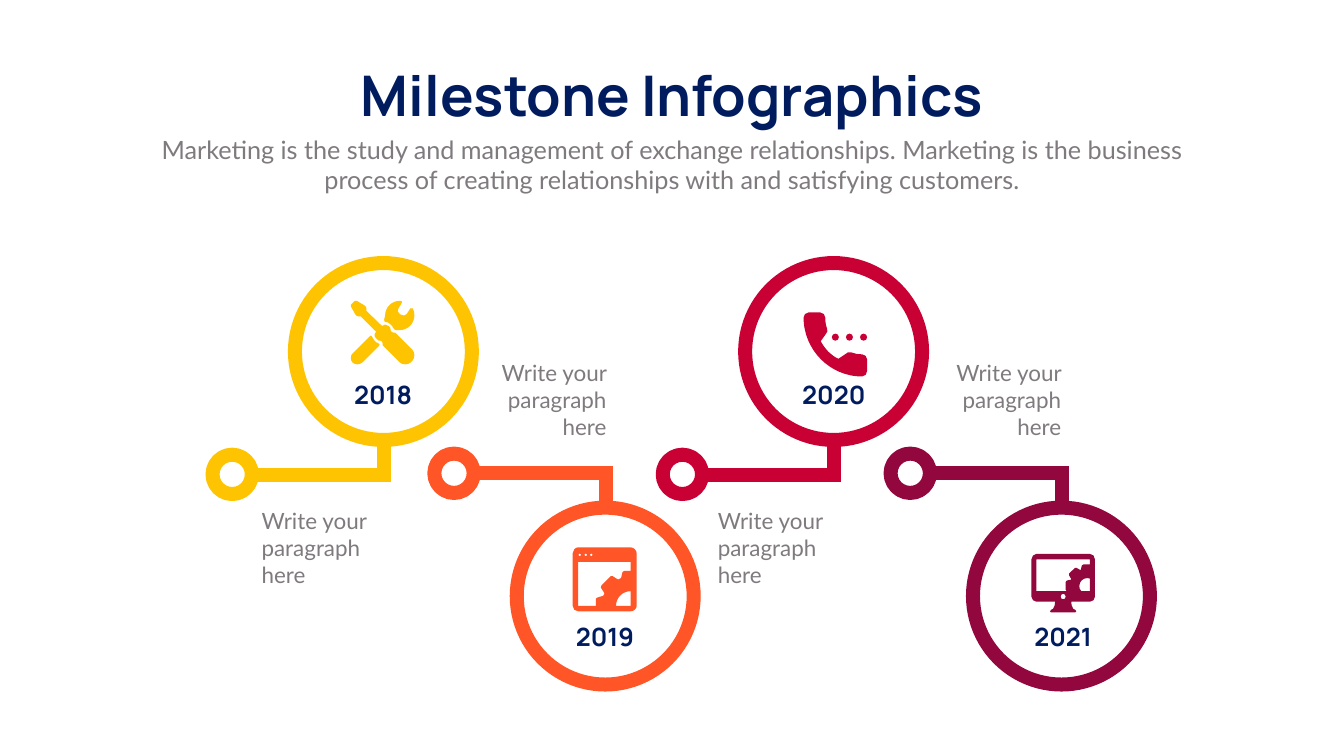
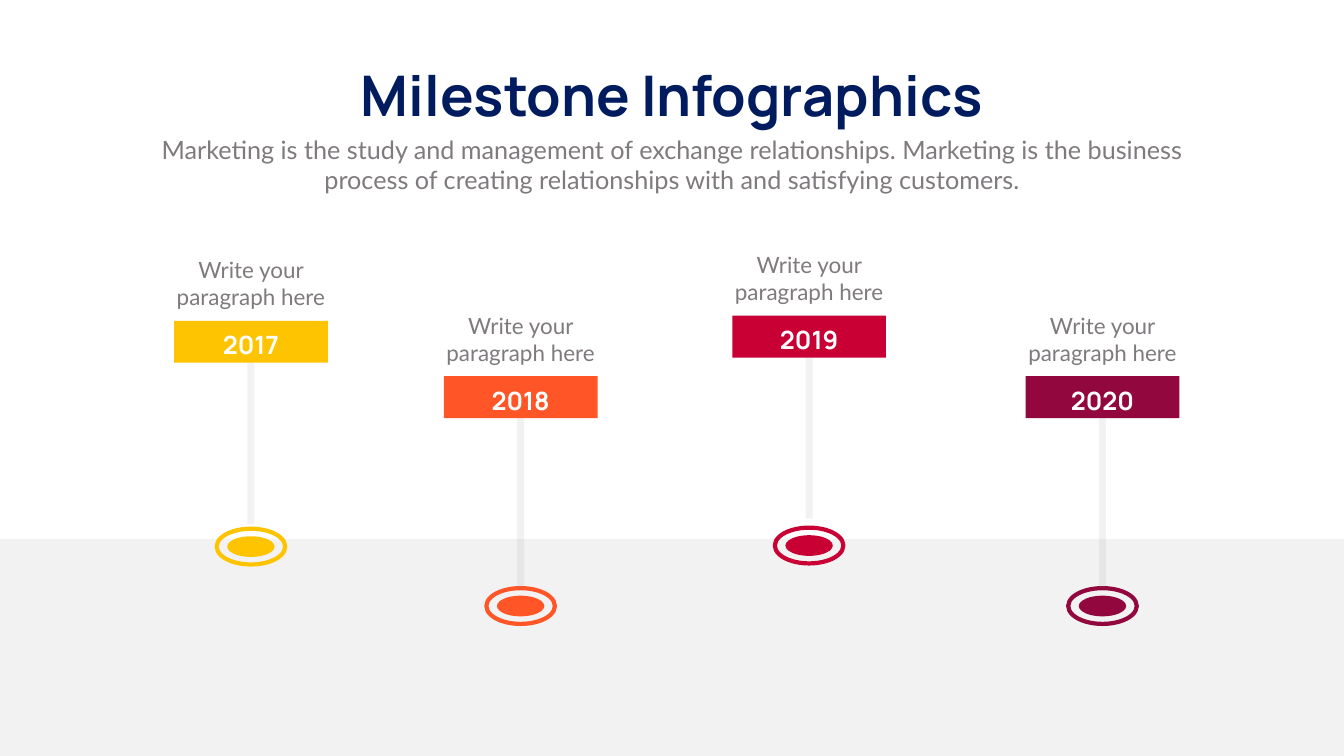
from dataclasses import dataclass
from typing import NamedTuple

import pptx
import pptx.dml.color
import pptx.enum.shapes
import pptx.enum.text
import pptx.oxml.ns
import pptx.util
from lxml import etree

Pt = pptx.util.Pt
qn = pptx.oxml.ns.qn
Shapes = pptx.enum.shapes.MSO_SHAPE
Connectors = pptx.enum.shapes.MSO_CONNECTOR
Align = pptx.enum.text.PP_ALIGN


# Theme and content
@dataclass(frozen=True)
class Theme:
    yellow: str = "FEC402"
    orange: str = "FF5527"
    red: str = "C90034"
    plum: str = "92073E"
    navy: str = "001C5E"
    gray: str = "7F7A7E"
    stem: str = "808080"
    floor: str = "F2F2F2"
    white: str = "FFFFFF"
    heading_font: str = "Manrope"
    body_font: str = "Lato"
    title_size: float = 80
    intro_size: float = 36
    year_size: float = 36
    caption_size: float = 32
    thick_line: float = 20
    stem_line: float = 10
    thin_line: float = 6


THEME = Theme()
SLIDE_WIDTH, SLIDE_HEIGHT = 1919.52, 1080
TITLE = "Milestone Infographics"
INTRO = ("Marketing is the study and management of exchange relationships. Marketing is "
         "the business process of creating relationships with and satisfying customers.")
CAPTION = "Write your paragraph here"


class Box(NamedTuple):
    left: float
    top: float
    width: float
    height: float

    def lengths(self) -> list:
        return [Pt(value) for value in self]


def centered(center: float, top: float, width: float, height: float) -> Box:
    return Box(center - width / 2, top, width, height)


# Icon outlines on a grid of ICON_UNIT points: M move, L lines, C one curve, Z close
ICON_UNIT = 0.72
SCREWDRIVER = (
    "M 88 63 C 87 62 86 62 84 63 C 81 63 79 60 79 58 C 79 56 79 54 78 53 L 75 50 "
    "C 71 46 65 46 62 50 L 31 20 31 16 C 31 13 30 10 27 9 L 12 0 C 11 -1 9 -1 8 0 L 0 8 "
    "C 0 9 0 10 0 11 L 9 27 C 11 30 13 31 16 31 L 20 31 50 61 50 62 C 48 63 47 66 47 68 "
    "C 47 70 48 73 50 74 L 54 78 C 54 79 56 79 58 79 C 61 79 63 81 63 84 L 63 88 97 122 "
    "C 100 125 104 126 108 126 C 112 126 116 125 119 122 L 122 119 C 125 116 126 112 126 108 "
    "C 126 104 125 100 122 97 Z")
WRENCH = (
    "M 69 42 C 72 42 76 43 78 46 L 82 50 C 84 51 84 53 85 55 C 85 56 86 57 87 57 "
    "C 88 57 89 58 90 58 L 97 58 C 113 58 126 45 126 29 C 126 24 125 19 123 15 "
    "C 122 14 120 14 118 15 L 111 26 C 110 28 108 29 106 29 L 105 29 C 100 29 95 26 93 21 "
    "C 93 19 93 17 94 16 L 101 4 C 102 3 101 0 99 0 L 97 0 C 81 0 68 13 68 29 "
    "C 68 32 68 35 66 38 C 66 39 66 40 67 41 Z")
HANDLE = (
    "M 54 84 C 53 84 51 83 50 82 L 46 78 C 44 76 43 74 42 71 C 42 70 41 69 40 69 "
    "C 39 69 38 69 38 70 L 4 104 C 1 106 0 109 0 113 C 0 117 1 121 4 123 "
    "C 7 125 10 126 13 126 C 16 126 20 125 23 122 L 56 89 C 57 88 57 87 57 86 "
    "C 56 85 55 84 54 84 Z")
BROWSER = (
    "M 115 0 L 11 0 C 5 0 0 6 0 12 L 0 116 C 0 122 5 127 11 127 L 115 127 "
    "C 121 127 127 122 127 116 L 127 12 C 127 6 121 0 115 0 Z "
    + "".join(f"M {x} 12 C {x + 2} 12 {x + 3} 13 {x + 3} 15 C {x + 3} 16 {x + 2} 18 {x} 18 "
              f"C {x - 2} 18 {x - 3} 16 {x - 3} 15 C {x - 3} 13 {x - 2} 12 {x} 12 Z "
              for x in (14, 26, 37))
    + "M 115 116 L 86 116 C 86 100 99 87 115 87 Z "
    "M 115 47 L 102 47 C 101 47 99 47 99 49 L 96 61 C 94 62 92 63 90 64 L 79 57 "
    "C 78 56 77 56 76 57 L 57 76 C 56 77 56 78 56 80 L 63 91 C 62 93 61 95 61 96 L 48 100 "
    "C 47 100 46 101 46 102 L 46 116 11 116 11 29 115 29 Z")
PHONE = (
    "M 116 83 C 108 83 101 82 94 79 C 90 78 86 79 84 82 L 69 92 C 53 84 43 73 34 57 L 44 43 "
    "C 47 40 48 36 47 33 C 44 25 43 18 43 10 C 43 5 39 0 33 0 L 10 0 C 4 0 0 5 0 10 "
    "C 0 74 52 127 116 127 C 122 127 126 122 126 116 L 126 93 C 126 88 122 83 116 83 Z")
PHONE_DOTS = tuple(
    f"M {x} 49 C {x} 53 {x - 3} 56 {x - 7} 56 C {x - 11} 56 {x - 14} 53 {x - 14} 49 "
    f"C {x - 14} 45 {x - 11} 42 {x - 7} 42 C {x - 3} 42 {x} 45 {x} 49 Z"
    for x in (70, 98, 126))
MONITOR = (
    "M 116 0 L 10 0 C 5 0 0 5 0 11 L 0 85 C 0 90 5 95 10 95 L 47 95 C 47 99 46 106 43 109 "
    "C 42 111 41 111 39 111 C 38 111 37 112 37 114 C 37 115 38 116 39 116 L 87 116 "
    "C 88 116 89 115 89 114 C 89 112 88 111 87 111 C 85 111 84 111 83 109 "
    "C 80 106 79 99 79 95 L 116 95 C 122 95 126 90 126 85 L 126 11 C 126 5 122 0 116 0 Z "
    "M 63 90 C 60 90 58 88 58 85 C 58 82 60 79 63 79 C 66 79 68 82 68 85 C 68 88 66 90 63 90 Z "
    "M 86 28 L 75 39 C 74 40 74 42 75 43 L 79 50 79 51 70 53 C 69 53 68 54 68 56 L 68 71 "
    "C 68 73 69 74 70 74 L 10 74 10 11 116 11 116 21 103 21 C 101 21 100 22 100 23 "
    "L 98 32 97 32 90 28 C 89 27 87 27 86 28 Z "
    "M 99 74 C 96 71 95 68 95 64 C 95 55 102 48 111 48 C 112 48 114 48 116 49 L 116 74 Z")


class Milestone(NamedTuple):
    year: str
    color: str
    ring_left: float
    upper: bool
    caption_left: float
    year_left: float
    icon_left: float
    icon_top: float
    outlines: tuple


class Marker(NamedTuple):
    year: str
    color: str
    center: float
    label_top: float
    stem_bottom: float
    target_top: float


MILESTONES = (
    Milestone("2018", THEME.yellow, 421.2, True, 366.5, 471.6, 501.1, 429.8,
              (SCREWDRIVER, WRENCH, HANDLE)),
    Milestone("2019", THEME.orange, 738, False, 698.4, 788.4, 817.9, 781.9, (BROWSER,)),
    Milestone("2020", THEME.red, 1064.2, True, 1018.1, 1115.3, 1147.7, 446.4,
              (PHONE, *PHONE_DOTS)),
    Milestone("2021", THEME.plum, 1389.6, False, 1347.8, 1442.9, 1473.1, 791.3, (MONITOR,)),
)
MARKERS = (
    Marker("2017", THEME.yellow, 358.4, 458.4, 748.8, 755.3),
    Marker("2018", THEME.orange, 743.6, 537.4, 840.2, 840.2),
    Marker("2019", THEME.red, 1155.6, 451, 740.9, 753.8),
    Marker("2020", THEME.plum, 1574.6, 537.4, 840.2, 840.2),
)


# Drawing helpers
def rgb(color: str) -> pptx.dml.color.RGBColor:
    return pptx.dml.color.RGBColor.from_string(color)


def paint(shape, fill: str | None = None, line: str | None = None, weight: float = 0) -> None:
    shape.shadow.inherit = False
    if fill:
        shape.fill.solid()
        shape.fill.fore_color.rgb = rgb(fill)
    else:
        shape.fill.background()
    if line:
        shape.line.color.rgb = rgb(line)
        shape.line.width = Pt(weight)
    else:
        shape.line.fill.background()


def draw(slide, kind, box: Box, **paint_options) -> None:
    paint(slide.shapes.add_shape(kind, *box.lengths()), **paint_options)


def connect(slide, kind, start: tuple, end: tuple, color: str, weight: float):
    connector = slide.shapes.add_connector(kind, *(Pt(value) for value in (*start, *end)))
    connector.line.color.rgb = rgb(color)
    connector.line.width = Pt(weight)
    properties = connector._element.spPr
    etree.SubElement(properties.find(qn("a:ln")), qn("a:miter"), lim="800000")
    etree.SubElement(properties, qn("a:effectLst"))
    return connector


def write(shape, text: str, *, size: float, color: str, font: str = THEME.body_font,
          bold: bool = False, align=Align.CENTER, wrap: bool = True) -> None:
    frame = shape.text_frame
    frame.word_wrap = wrap
    frame.auto_size = pptx.enum.text.MSO_AUTO_SIZE.SHAPE_TO_FIT_TEXT
    frame.vertical_anchor = pptx.enum.text.MSO_ANCHOR.TOP
    paragraph = frame.paragraphs[0]
    if shape.is_placeholder:
        settings = paragraph._p.get_or_add_pPr()
        settings.set("marL", "0")
        settings.set("indent", "0")
        etree.SubElement(settings, qn("a:buNone"))
    paragraph.alignment = align
    paragraph.space_before = Pt(0)
    run = paragraph.add_run()
    run.text = text
    run.font.name, run.font.size, run.font.bold = font, Pt(size), bold
    run.font.color.rgb = rgb(color)


def add_text(slide, box: Box, text: str, **text_format) -> None:
    write(slide.shapes.add_textbox(*box.lengths()), text, **text_format)


def add_caption(slide, box: Box, align=Align.CENTER) -> None:
    add_text(slide, box, CAPTION, size=THEME.caption_size, color=THEME.gray, align=align)


def add_year(slide, left: float, top: float, year: str, color: str) -> None:
    add_text(slide, Box(left, top, 151.2, 51.1), year, size=THEME.year_size, color=color,
             font=THEME.heading_font, bold=True)


def bend(shape, curve_starts: list) -> None:
    """Turn each run of three line segments that starts a curve into one cubic curve."""
    segments = list(shape._element.iter(qn("a:lnTo")))
    for start in curve_starts:
        curve = etree.Element(qn("a:cubicBezTo"))
        segments[start].addprevious(curve)
        for segment in segments[start:start + 3]:
            curve.append(segment[0])
            segment.getparent().remove(segment)


def draw_outline(slide, outline: str, left: float, top: float, color: str) -> None:
    builder, curve_starts, segment_count = None, [], 0
    for contour in outline.split("M")[1:]:
        numbers = []
        for token in contour.split():
            if token == "C":
                curve_starts.append(segment_count + len(numbers) // 2 - 1)
            elif not token.isalpha():
                numbers.append(float(token))
        start, *points = [(Pt(left + x * ICON_UNIT), Pt(top + y * ICON_UNIT))
                          for x, y in zip(numbers[::2], numbers[1::2])]
        if builder is None:
            builder = slide.shapes.build_freeform(*start)
        else:
            builder.move_to(*start)
        builder.add_line_segments(points, close=True)
        segment_count += len(points)
    shape = builder.convert_to_shape()
    bend(shape, curve_starts)
    paint(shape, fill=color)


# Slides
def add_slide(presentation):
    slide = presentation.slides.add_slide(presentation.slide_layouts[1])
    title, intro = slide.placeholders
    for shape, box in ((title, Box(476.3, 82.6, 967, 104.4)), (intro, Box(210.2, 187.9, 1499, 94.3))):
        shape.left, shape.top, shape.width, shape.height = box.lengths()
    write(title, TITLE, size=THEME.title_size, color=THEME.navy, font=THEME.heading_font,
          bold=True, wrap=False)
    write(intro, INTRO, size=THEME.intro_size, color=THEME.gray)
    return slide


def draw_milestone(slide, item: Milestone) -> None:
    ring, node = 252.7, 56.2
    ring_top, elbow_start, elbow_end, node_top, year_top, caption_top = (
        (375.8, 630.7, 678, 649.6, 538.6, 720.5) if item.upper
        else (725.2, 723.6, 676.1, 648, 883.4, 509.8))
    outline = dict(fill=THEME.white, line=item.color, weight=THEME.thick_line)
    draw(slide, Shapes.OVAL, Box(item.ring_left, ring_top, ring, ring), **outline)
    elbow = connect(slide, Connectors.ELBOW, (item.ring_left + ring / 2, elbow_start),
                    (item.ring_left - 61.5, elbow_end), item.color, THEME.thick_line)
    geometry = elbow._element.spPr.find(qn("a:prstGeom"))
    etree.SubElement(geometry.find(qn("a:avLst")), qn("a:gd"), name="adj1", fmla="val -500")
    draw(slide, Shapes.OVAL, Box(item.ring_left - 117.7, node_top, node, node), **outline)
    add_caption(slide, Box(item.caption_left, caption_top, 175, 123.8),
                Align.LEFT if item.upper else Align.RIGHT)
    add_year(slide, item.year_left, year_top, item.year, THEME.navy)
    for icon_outline in item.outlines:
        draw_outline(slide, icon_outline, item.icon_left, item.icon_top, item.color)


def draw_marker(slide, item: Marker) -> None:
    label_height = 59.8
    draw(slide, Shapes.OVAL, centered(item.center, item.target_top + 10.8, 67.7, 29.5),
         fill=item.color)
    draw(slide, Shapes.OVAL, centered(item.center, item.target_top, 97.9, 51.1),
         line=item.color, weight=THEME.thin_line)
    stem = connect(slide, Connectors.STRAIGHT, (item.center, item.stem_bottom),
                   (item.center, item.label_top + label_height), THEME.stem, THEME.stem_line)
    for stem_color in stem._element.spPr.iter(qn("a:srgbClr")):
        etree.SubElement(stem_color, qn("a:alpha"), val="10000")
    draw(slide, Shapes.RECTANGLE, centered(item.center, item.label_top, 219.6, label_height),
         fill=item.color)
    add_year(slide, item.center - 75.6, item.label_top + 8.9, item.year, THEME.white)
    add_caption(slide, centered(item.center, item.label_top - 95.5, 235.4, 85))


def main() -> None:
    presentation = pptx.Presentation()
    presentation.slide_width, presentation.slide_height = Pt(SLIDE_WIDTH), Pt(SLIDE_HEIGHT)
    linked_rings = add_slide(presentation)
    for milestone in MILESTONES:
        draw_milestone(linked_rings, milestone)
    signposts = add_slide(presentation)
    draw(signposts, Shapes.RECTANGLE, Box(0, 769.7, SLIDE_WIDTH, 310.3), fill=THEME.floor)
    for marker in MARKERS:
        draw_marker(signposts, marker)
    presentation.save("out.pptx")


if __name__ == "__main__":
    main()
